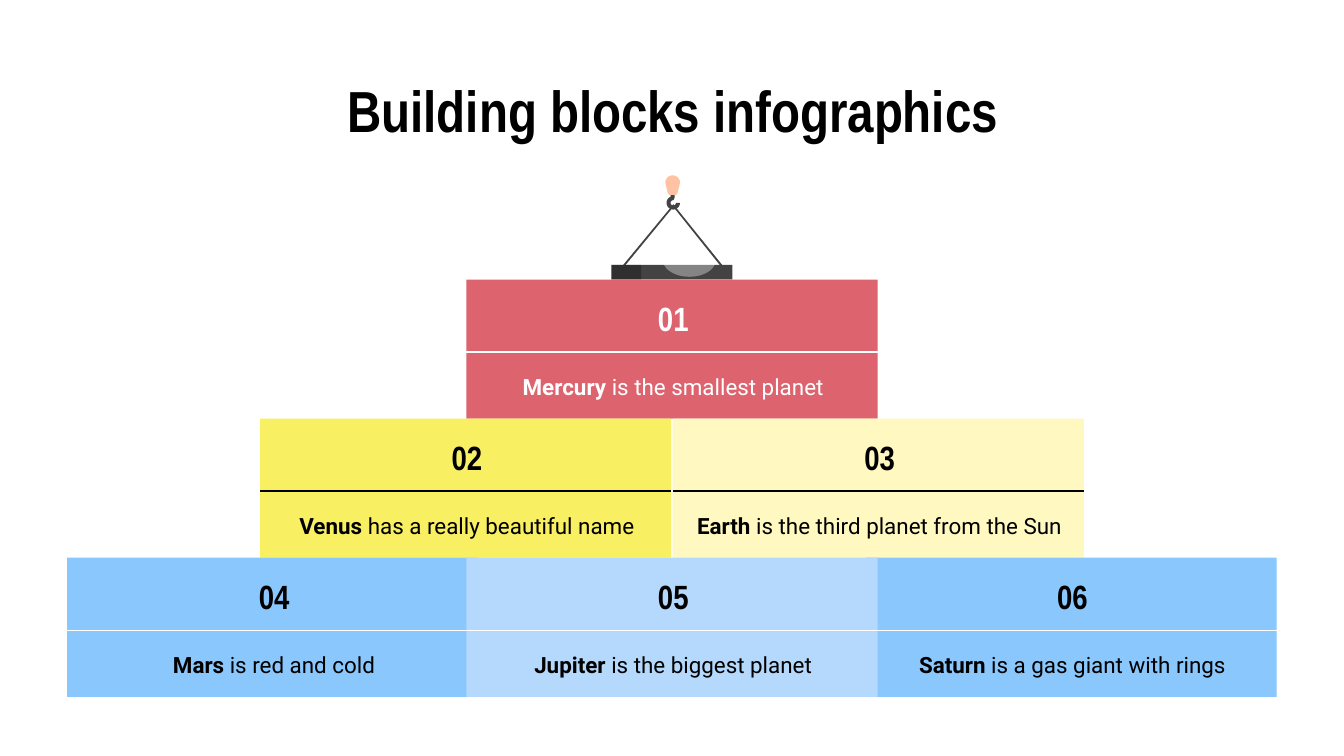
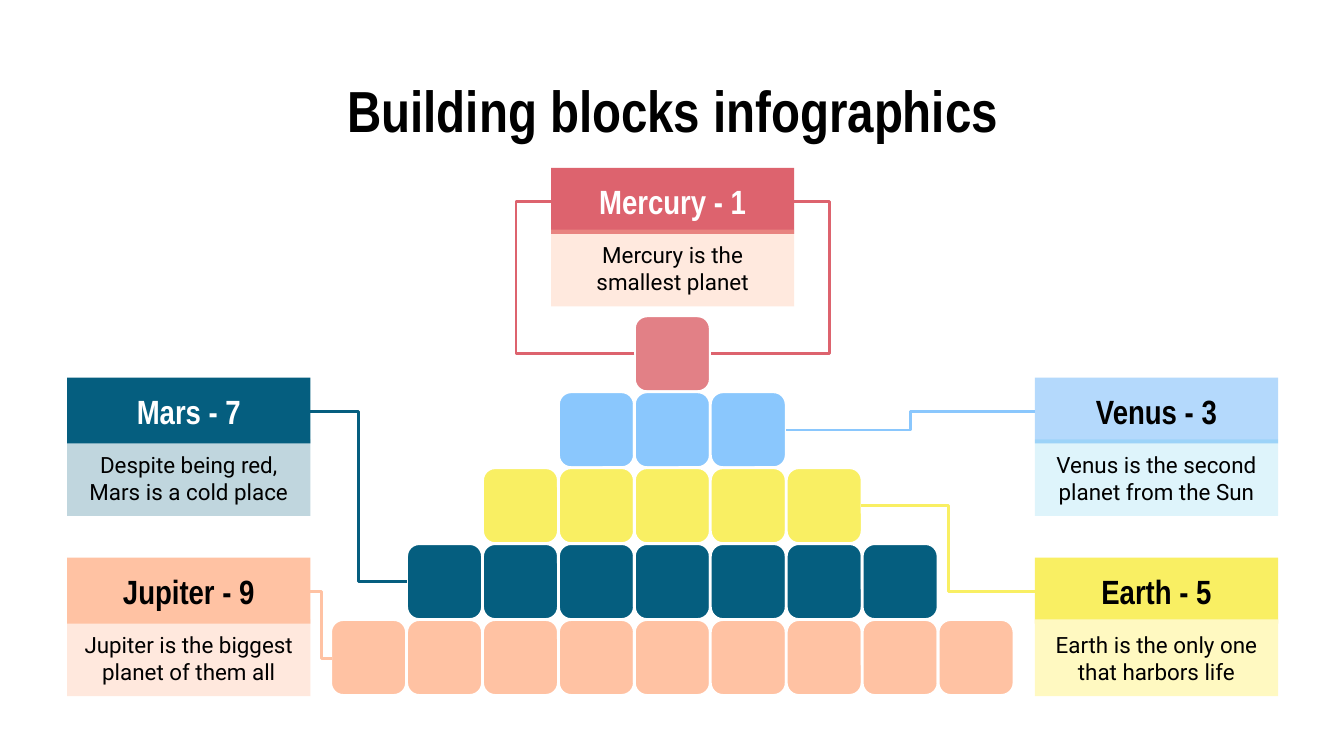
"""Build two slides of building block infographics."""
import math
from lxml import etree
from pptx import Presentation
from pptx import util as u
from pptx.dml.color import RGBColor
from pptx.enum import shapes, text
from pptx.oxml.ns import qn

COLORS = {
    "black": "000000", "white": "FFFFFF", "gray": "434343",
    "red": "DD636E", "rose": "E28086", "peach": "FFC2A3",
    "yellow": "F9EF63", "cream": "FFF9C1", "teal": "055E7F",
    "blue": "8AC7FD", "pale blue": "B4D9FC", "cyan": "02ABE4",
}
RGB = {name: RGBColor.from_string(value) for name, value in COLORS.items()}
HEADING = "Arial Narrow"
BODY = "Roboto"
TITLE = "Building blocks infographics"
KIND = shapes.MSO_SHAPE


def add_box(slide, place, fill=None, opacity=100, kind=KIND.RECTANGLE,
            runs=(), font=BODY, size=12, color="black", after=None):
    """Add a filled shape, or a text box without fill; runs are (text, bold) pairs."""
    place = [u.Inches(length) for length in place]
    if fill:
        shape = slide.shapes.add_shape(kind, *place)
        shape.shadow.inherit = False
        shape.fill.solid()
        shape.fill.fore_color.rgb = RGB[fill]
        shape.line.fill.background()
        if opacity < 100:
            tint = shape._element.spPr.find(qn("a:solidFill"))[0]
            etree.SubElement(tint, qn("a:alpha"), val=str(opacity * 1000))
    else:
        shape = slide.shapes.add_textbox(*place)
    if runs:
        frame = shape.text_frame
        frame.word_wrap = True
        frame.vertical_anchor = text.MSO_ANCHOR.MIDDLE
        frame.margin_left = frame.margin_right = u.Inches(0.1)
        frame.margin_top = frame.margin_bottom = u.Inches(0.1)
        paragraph = frame.paragraphs[0]
        paragraph.alignment = text.PP_ALIGN.CENTER
        if after:
            paragraph.space_after = u.Pt(after)
        for words, bold in runs:
            run = paragraph.add_run()
            run.text = words
            run.font.name = font
            run.font.size = u.Pt(size)
            run.font.bold = bold
            run.font.color.rgb = RGB[color]
    return shape


def add_line(slide, start, end, color, width, bend=None):
    """Add a straight line, or an elbow that turns at the given share of its width."""
    kinds = shapes.MSO_CONNECTOR
    kind = kinds.STRAIGHT if bend is None else kinds.ELBOW
    ends = [u.Inches(length) for length in (*start, *end)]
    line = slide.shapes.add_connector(kind, *ends)
    line.line.color.rgb = RGB[color]
    line.line.width = u.Pt(width)
    properties = line._element.spPr
    etree.SubElement(properties, qn("a:effectLst"))
    if bend is not None:
        guides = properties.find(qn("a:prstGeom")).find(qn("a:avLst"))
        etree.SubElement(guides, qn("a:gd"), name="adj1",
                         fmla=f"val {round(bend * 100000)}")


presentation = Presentation()
presentation.slide_width = u.Inches(10)
presentation.slide_height = u.Inches(5.625)
pyramid, bricks = [
    presentation.slides.add_slide(presentation.slide_layouts[6]) for _ in range(2)
]
for slide in (pyramid, bricks):
    add_box(slide, (0.5, 0.45, 9.01, 0.73), runs=[(TITLE, True)],
            font=HEADING, size=31)

block_rows = [
    (3.06, "white", "white", [
        (0, "01", "red", "Mercury", " is the smallest planet"),
    ]),
    (3.07, "black", "black", [
        (0.5, "03", "cream", "Earth", " is the third planet from the Sun"),
        (-0.5, "02", "yellow", "Venus", " has a really beautiful name"),
    ]),
    (2.97, "black", "white", [
        (-1, "04", "blue", "Mars", " is red and cold"),
        (1, "06", "blue", "Saturn", " is a gas giant with rings"),
        (0, "05", "pale blue", "Jupiter", " is the biggest planet"),
    ]),
]
block_width = 3.06
for row, (step, ink, rule, blocks) in enumerate(block_rows):
    top = 2.08 + 1.035 * row
    for column, number, fill, planet, fact in blocks:
        left = 3.47 + column * step
        add_box(pyramid, (left, top, block_width, 1.035), fill)
        add_box(pyramid, (left + 0.01, top + 0.04, block_width, 0.49),
                runs=[(number, True)], font=HEADING, size=18, color=ink, after=16)
        add_box(pyramid, (left + 0.01, top + 0.6, block_width, 0.39),
                runs=[(planet, True), (fact, False)], color=ink)
        add_line(pyramid, (left, top + 0.54), (left + block_width, top + 0.54),
                 rule, 0.75)

add_box(pyramid, (4.55, 1.97, 0.9, 0.11), "gray")
add_box(pyramid, (4.93, 1.8, 0.4, 0.26), "white", 35, KIND.OVAL)
cable = [(5.01, 1.52), (4.63, 1.98), (4.63, 1.99), (4.64, 1.99), (5.01, 1.54),
         (5.37, 1.99), (5.38, 1.99), (5.38, 1.98)]
turns = [math.radians(angle) for angle in range(0, 271, 15)]
hook = [(5.01 + radius * math.cos(turn), 1.51 + radius * math.sin(turn))
        for radius, sweep in ((0.05, turns), (0.02, turns[::-1])) for turn in sweep]
stem = [(4.99, 1.43), (5, 1.41), (5.01, 1.41), (5.02, 1.43), (5.02, 1.47),
        (5.01, 1.49), (5, 1.49), (4.99, 1.47)]
handle = [(4.95, 1.36), (4.97, 1.44), (4.98, 1.45), (5.03, 1.45), (5.04, 1.44),
          (5.06, 1.36)]
cap = [(5.005 + 0.055 * math.cos(turn), 1.36 - 0.055 * math.sin(turn))
       for turn in turns[:13]]
for outline, fill in ((cable, "gray"), (hook, "gray"), (stem, "gray"),
                      (handle, "peach"), (cap, "peach")):
    points = [(u.Inches(x), u.Inches(y)) for x, y in outline]
    builder = pyramid.shapes.build_freeform(*points[0])
    builder.add_line_segments(points[1:], close=True)
    shape = builder.convert_to_shape()
    shape.shadow.inherit = False
    shape.fill.solid()
    shape.fill.fore_color.rgb = RGB[fill]
    shape.line.fill.background()
add_box(pyramid, (4.55, 1.97, 0.22, 0.11), "black", 29)

pitch = 0.565
for row, fill in enumerate(("rose", "blue", "yellow", "teal", "peach")):
    for column in range(-row, row + 1):
        place = (4.72 + column * pitch, 2.35 + row * pitch, pitch, pitch)
        brick = add_box(bricks, place, fill, kind=KIND.ROUNDED_RECTANGLE)
        brick.line.color.rgb = RGB["white"]
        brick.line.width = u.Pt(1.5)

cards = [
    (0.5, 4.15, "Jupiter - 9", "peach", "black",
     "Jupiter is the biggest planet of them all", "peach", 37),
    (0.5, 2.81, "Mars - 7", "teal", "white",
     "Despite being red, Mars is a cold place", "teal", 25),
    (7.7, 4.15, "Earth - 5", "yellow", "black",
     "Earth is the only one that harbors life", "cream", 100),
    (7.7, 2.81, "Venus - 3", "pale blue", "black",
     "Venus is the second planet from the Sun", "cyan", 13),
    (4.1, 1.25, "Mercury - 1", "red", "white",
     "Mercury is the smallest planet", "peach", 35),
]
for left, top, heading, fill, ink, fact, tint, opacity in cards:
    add_box(bricks, (left, top, 1.81, 0.49), fill, runs=[(heading, True)],
            font=HEADING, size=18, color=ink, after=16)
    add_box(bricks, (left, top + 0.46, 1.81, 0.57), tint, opacity,
            runs=[(fact, False)])

links = [
    ((4.72, 2.63), (4.1, 1.5), "red", 1.42),
    ((5.91, 1.5), (5.29, 2.63), "red", -0.42),
    ((7.7, 3.06), (5.85, 3.2), "blue", 0.5),
    ((7.7, 4.4), (6.41, 3.76), "yellow", 0.5),
    ((2.31, 3.06), (3.03, 4.33), "teal", 0.5),
    ((2.31, 4.4), (2.47, 4.9), "peach", 0.5),
]
for start, end, color, bend in links:
    add_line(bricks, start, end, color, 1.5, bend)

presentation.save("out.pptx")
